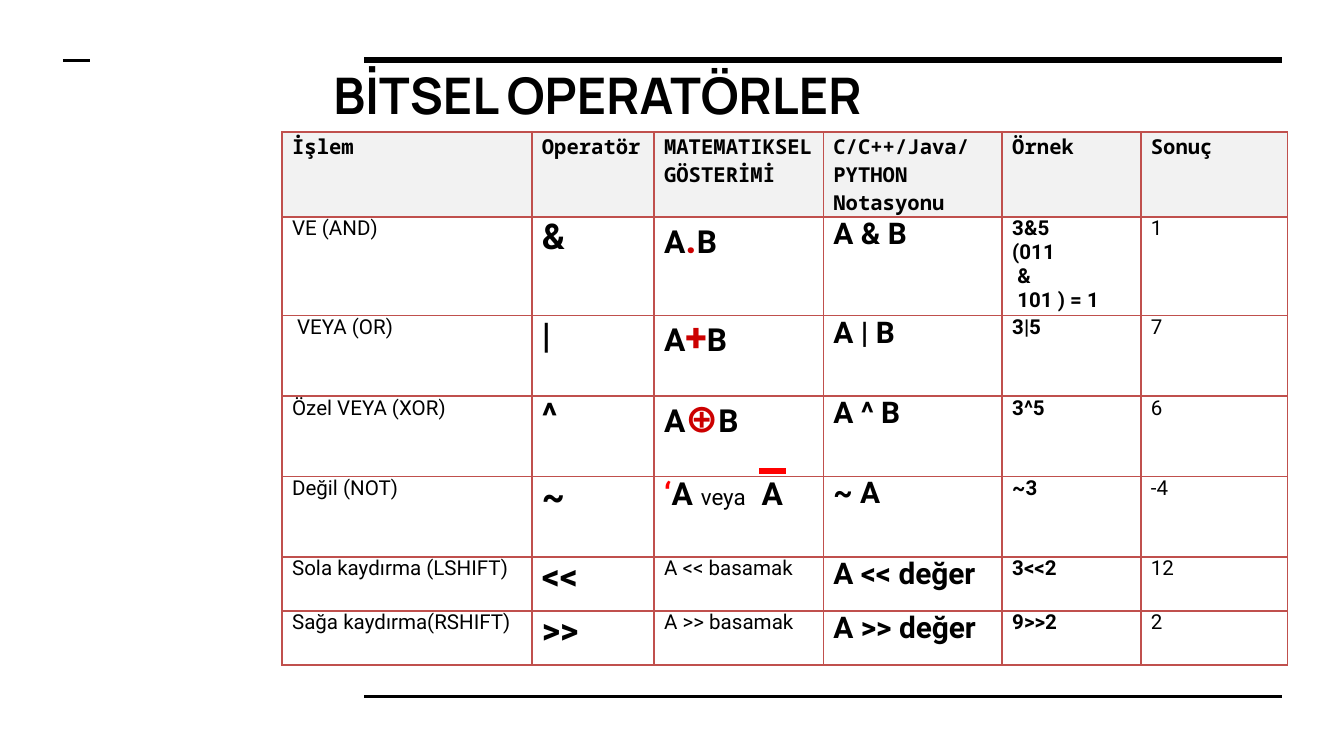
from dataclasses import dataclass

from lxml import etree
from pptx import Presentation
from pptx.dml.color import RGBColor
from pptx.enum.shapes import MSO_CONNECTOR
from pptx.enum.text import MSO_ANCHOR
from pptx.oxml.ns import qn
from pptx.util import Cm, Pt

STRAIGHT = MSO_CONNECTOR.STRAIGHT
TOP = MSO_ANCHOR.TOP


@dataclass(frozen=True)
class Theme:
    black: str = "000000"
    white: str = "FFFFFF"
    header: str = "F2F2F2"
    border: str = "C0504D"
    accent: str = "CC0000"
    bright: str = "FF0000"
    title_font: str = "Manrope"
    mono: str = "Noto Sans Mono"
    body: str = "Roboto"
    title: float = 27
    small: float = 11
    word: float = 12
    notation: float = 16
    formula: float = 17
    operator: float = 19
    sign: float = 21


T = Theme()

COL_WIDTHS = (4.72, 2.31, 3.2, 3.38, 2.62, 2.77)
ROW_HEIGHTS = (1.6, 1.81, 1.52, 1.52, 1.52, 1.02, 1.02)
HEADERS = ("İşlem", "Operatör", "MATEMATIKSEL GÖSTERİMİ",
           "C/C++/Java/ PYTHON Notasyonu", "Örnek", "Sonuç")


def run(text, size=T.small, bold=False, color=T.black, font=T.body):
    return text, size, bold, color, font


def formula(sign):
    return [run("A", T.formula, True), run(sign, T.sign, True, T.accent),
            run("B", T.formula, True)]


NOT_FORMULA = [run("‘", T.formula, True, T.bright), run("A ", T.formula, True),
               run("veya", T.word), run("  A", T.formula, True)]

# Operation, operator, formula runs, notation, example lines, result
OPERATIONS = (
    ("VE (AND)", "&", formula("."), "A & B",
     ("3&5", "(011", " &", " 101 ) = 1"), "1"),
    (" VEYA (OR)", "|", formula("+"), "A | B", ("3|5",), "7"),
    ("Özel VEYA (XOR)", "^", formula("⊕"), "A ^ B", ("3^5",), "6"),
    ("Değil (NOT)", "~", NOT_FORMULA, "~ A", ("~3",), "-4"),
    ("Sola kaydırma (LSHIFT)", "<<", [run("A << basamak")], "A << değer",
     ("3<<2",), "12"),
    ("Sağa kaydırma(RSHIFT)", ">>", [run("A >> basamak")], "A >> değer",
     ("9>>2",), "2"),
)


def write(tf, paragraphs):
    for i, runs in enumerate(paragraphs):
        p = tf.paragraphs[0] if i == 0 else tf.add_paragraph()
        for text, size, bold, color, font in runs:
            r = p.add_run()
            r.text = text
            r.font.size = Pt(size)
            r.font.bold = bold
            r.font.name = font
            r.font.color.rgb = RGBColor.from_string(color)


def add_rule(slide, x, y, width, weight, color=T.black):
    line = slide.shapes.add_connector(STRAIGHT, Cm(x), Cm(y), Cm(x + width), Cm(y))
    line.line.width = Pt(weight)
    line.line.color.rgb = RGBColor.from_string(color)
    etree.SubElement(line._element.spPr, qn("a:effectLst"))


def set_borders(cell):
    tc_pr = cell._tc.get_or_add_tcPr()
    for i, side in enumerate(("lnL", "lnR", "lnT", "lnB")):
        ln = etree.Element(qn(f"a:{side}"), w=str(Pt(1)))
        fill = etree.SubElement(ln, qn("a:solidFill"))
        etree.SubElement(fill, qn("a:srgbClr"), val=T.border)
        tc_pr.insert(i, ln)


def fill_cell(cell, paragraphs, color):
    cell.margin_left = cell.margin_right = Cm(0.19)
    cell.margin_top = cell.margin_bottom = 0
    cell.vertical_anchor = TOP
    cell.fill.solid()
    cell.fill.fore_color.rgb = RGBColor.from_string(color)
    set_borders(cell)
    write(cell.text_frame, paragraphs)


def add_frame(slide, x, y, width, height):
    """Heavy rule above, lighter rule below, short dash in the left margin."""
    add_rule(slide, x, y, width, 3)
    add_rule(slide, x, y + height, width, 1.5)
    add_rule(slide, x - 5.69, y, 0.51, 1.5)


def add_title(slide, x, y, width, height):
    sp = slide.shapes.add_textbox(Cm(x), Cm(y), Cm(width), Cm(height))
    tf = sp.text_frame
    tf.word_wrap = True
    tf.vertical_anchor = TOP
    tf.margin_left = tf.margin_right = tf.margin_top = tf.margin_bottom = Cm(0.25)
    write(tf, [[run("BİTSEL OPERATÖRLER", T.title, True, font=T.title_font)]])


def add_operator_table(slide, x, y, width, height):
    frame = slide.shapes.add_table(len(ROW_HEIGHTS), len(COL_WIDTHS),
                                   Cm(x), Cm(y), Cm(width), Cm(height))
    table = frame.table
    table.first_row = table.horz_banding = False
    for column, share in zip(table.columns, COL_WIDTHS):
        column.width = Cm(width * share / sum(COL_WIDTHS))
    for row, share in zip(table.rows, ROW_HEIGHTS):
        row.height = Cm(height * share / sum(ROW_HEIGHTS))

    # Header row
    for c, text in enumerate(HEADERS):
        fill_cell(table.cell(0, c), [[run(text, bold=True, font=T.mono)]], T.header)

    # One row per operation
    for i, (name, operator, math_runs, notation, example, result) in enumerate(OPERATIONS, 1):
        contents = (
            [[run(name)]],
            [[run(operator, T.operator, True)]],
            [math_runs],
            [[run(notation, T.notation, True)]],
            [[run(text, bold=True)] for text in example],
            [[run(result)]],
        )
        for c, paragraphs in enumerate(contents):
            fill_cell(table.cell(i, c), paragraphs, T.white)

    # Overbar on the second A of the NOT formula
    add_rule(slide, x + 9.02, y + 6.4, 0.5, 3, T.bright)


def main():
    prs = Presentation()
    prs.slide_width, prs.slide_height = Cm(25.4), Cm(14.29)
    slide = prs.slides.add_slide(prs.slide_layouts[6])
    add_frame(slide, 6.88, 1.14, 17.35, 12.02)
    add_title(slide, 6.05, 0.97, 17.55, 1.75)
    add_operator_table(slide, 5.33, 2.5, sum(COL_WIDTHS), sum(ROW_HEIGHTS))
    prs.save("out.pptx")


if __name__ == "__main__":
    main()
